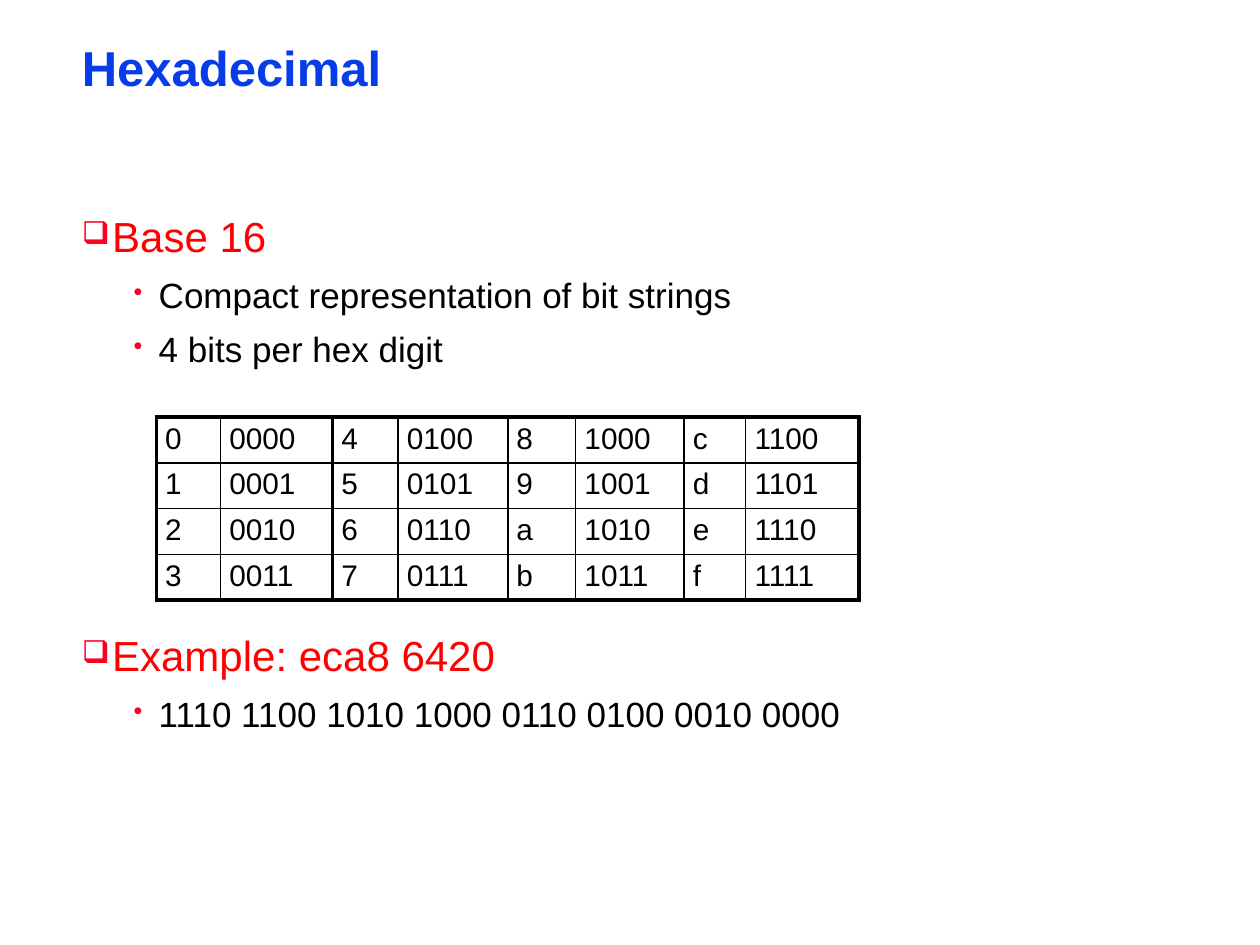
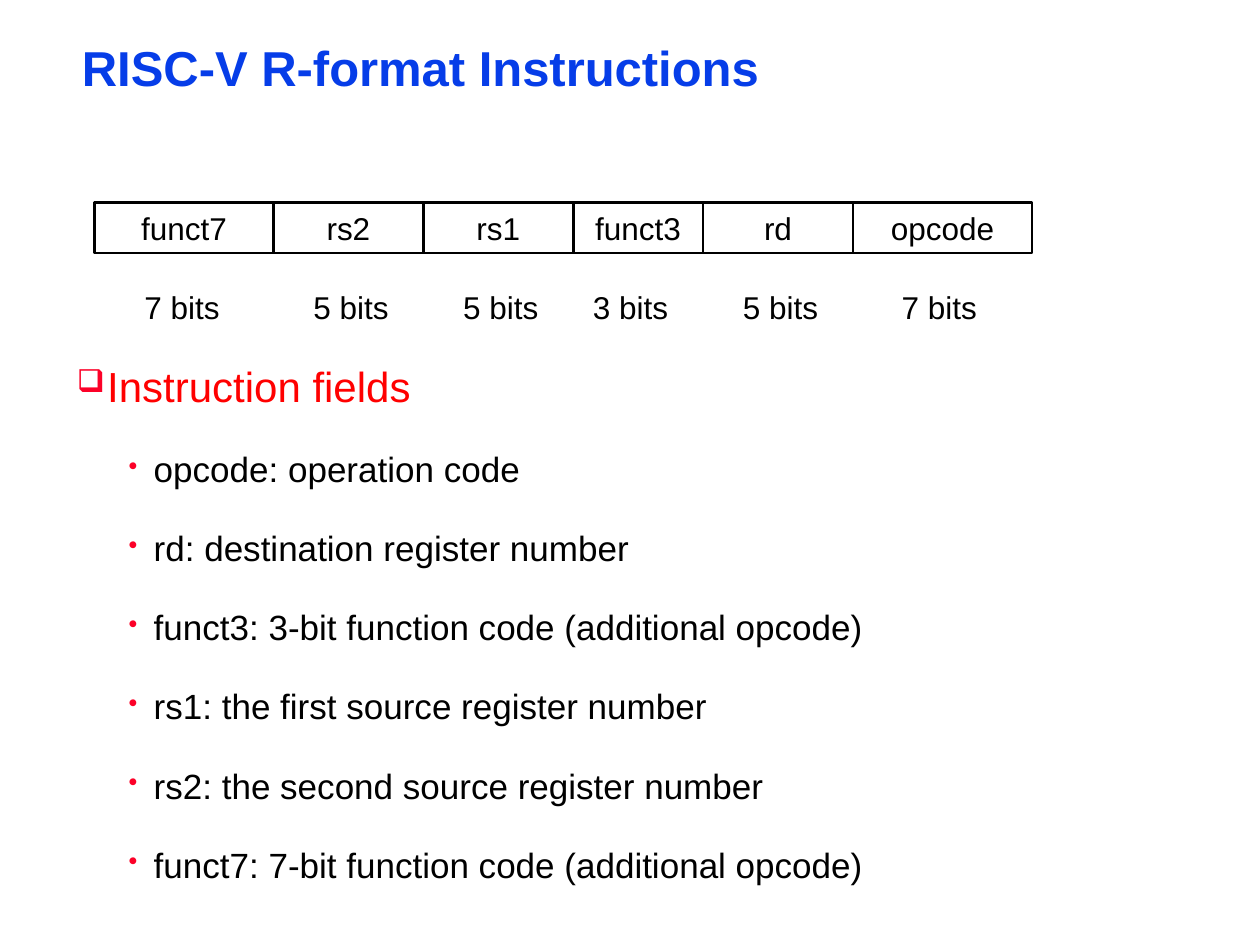
from pptx import Presentation
from pptx.dml.color import RGBColor
from pptx.enum.shapes import MSO_SHAPE
from pptx.enum.text import MSO_ANCHOR, MSO_AUTO_SIZE, PP_ALIGN
from pptx.oxml import parse_xml
from pptx.oxml.ns import nsdecls
from pptx.util import Inches, Pt

LEFT, CENTER = PP_ALIGN.LEFT, PP_ALIGN.CENTER
TOP, MIDDLE = MSO_ANCHOR.TOP, MSO_ANCHOR.MIDDLE
GROW = MSO_AUTO_SIZE.SHAPE_TO_FIT_TEXT
RECTANGLE = MSO_SHAPE.RECTANGLE

THEME = {
    "font": "Arial",
    "title": {"size": 28, "color": "063DE8", "bold": True},
    "heading": {"size": 24, "color": "FF0000", "bold": False},
    "item": {"size": 20, "color": "000000", "bold": False},
    "field": {"size": 18, "color": "000000", "bold": False},
    "cell": {"size": 17, "color": "000000", "bold": False},
    "line": "000000",
    "bullet": "FC0128",
}
FRAME = {
    "margin_left": Inches(0.07), "margin_right": Inches(0.07),
    "margin_top": Inches(0.03), "margin_bottom": Inches(0.03),
    "vertical_anchor": TOP, "word_wrap": True, "auto_size": GROW,
}
# Outline levels: bullet character, left margin and hanging indent, space before
LEVELS = {
    "heading": {"level": 0, "bullet": "\u2751", "margin": 0.24, "hang": 0.24, "before": 17.9},
    "item": {"level": 1, "bullet": "\u2022", "margin": 0.61, "hang": 0.2, "before": 9.2},
}
TABLE_GAP = 134  # extra points above the heading that follows the table

SLIDES = [
    {
        "title": "Hexadecimal", "left": 0.58, "top": 1.69, "height": 4.8, "spacing": 0.9,
        "outline": [
            ("heading", "Base 16", 0),
            ("item", "Compact representation of bit strings", 0),
            ("item", "4 bits per hex digit", 0),
            ("heading", "Example: eca8 6420", TABLE_GAP),
            ("item", "1110 1100 1010 1000 0110 0100 0010 0000", 0),
        ],
    },
    {
        "title": "RISC-V R-format Instructions", "left": 0.54, "top": 2.63, "height": 4.44,
        "spacing": 1.5,
        "outline": [
            ("heading", "Instruction fields", 0),
            ("item", "opcode: operation code", 0),
            ("item", "rd: destination register number", 0),
            ("item", "funct3: 3-bit function code (additional opcode)", 0),
            ("item", "rs1: the first source register number", 0),
            ("item", "rs2: the second source register number", 0),
            ("item", "funct7: 7-bit function code (additional opcode)", 0),
        ],
    },
]


def write(paragraph, text, style, alignment=LEFT):
    """Put text in a paragraph in one of the theme's type styles."""
    paragraph.alignment = alignment
    run = paragraph.add_run()
    run.text = text
    run.font.name = THEME["font"]
    run.font.size = Pt(THEME[style]["size"])
    run.font.bold = THEME[style]["bold"]
    run.font.color.rgb = RGBColor.from_string(THEME[style]["color"])


def set_format(target, values):
    """Set each named attribute of the target."""
    for name, value in values.items():
        setattr(target, name, value)


presentation = Presentation()
presentation.slide_width = Inches(10)
presentation.slide_height = Inches(7.5)

# Titles and outlines
slides = []
for content in SLIDES:
    slide = presentation.slides.add_slide(presentation.slide_layouts[5])
    slides.append(slide)
    title = slide.shapes.title
    set_format(title, {"left": Inches(0.58), "top": Inches(0.33),
                       "width": Inches(8.92), "height": Inches(0.47)})
    set_format(title.text_frame, FRAME)
    title.text_frame.paragraphs[0].line_spacing = 0.87
    write(title.text_frame.paragraphs[0], content["title"], "title")

    body = slide.shapes.add_textbox(Inches(content["left"]), Inches(content["top"]),
                                    Inches(8.92), Inches(content["height"]))
    set_format(body.text_frame, FRAME)
    for index, (style, text, gap) in enumerate(content["outline"]):
        level = LEVELS[style]
        paragraph = body.text_frame.add_paragraph() if index else body.text_frame.paragraphs[0]
        set_format(paragraph, {"level": level["level"], "line_spacing": content["spacing"],
                               "space_before": Pt(level["before"] + gap)})
        write(paragraph, text, style)
        properties = paragraph._p.get_or_add_pPr()
        properties.set("marL", str(Inches(level["margin"])))
        properties.set("indent", str(-Inches(level["hang"])))
        for bullet_xml in (
            f'<a:buClr {nsdecls("a")}><a:srgbClr val="{THEME["bullet"]}"/></a:buClr>',
            f'<a:buSzPct {nsdecls("a")} val="75000"/>',
            f'<a:buChar {nsdecls("a")} char="{level["bullet"]}"/>',
        ):
            properties.append(parse_xml(bullet_xml))

hexadecimal_slide, format_slide = slides

# Hex digits run down each pair of columns, digit beside its bits
COLUMN_WIDTHS = [0.51, 0.89, 0.52, 0.87, 0.54, 0.86, 0.49, 0.9]
ROWS, COLUMNS, ROW_HEIGHT = 4, len(COLUMN_WIDTHS), 0.36
OUTER, PAIR, INNER = 2.25, 1.5, 1
vertical_lines = [OUTER] + [INNER if edge % 2 else PAIR for edge in range(1, COLUMNS)] + [OUTER]
horizontal_lines = [OUTER] + [INNER] * (ROWS - 1) + [OUTER]

table = hexadecimal_slide.shapes.add_table(
    ROWS, COLUMNS, Inches(1.24), Inches(3.31),
    Inches(sum(COLUMN_WIDTHS)), Inches(ROWS * ROW_HEIGHT)).table
set_format(table, {"first_row": False, "horz_banding": False})
for column, width in zip(table.columns, COLUMN_WIDTHS):
    column.width = Inches(width)
for row in range(ROWS):
    table.rows[row].height = Inches(ROW_HEIGHT)
    for column in range(COLUMNS):
        digit = column // 2 * ROWS + row
        cell = table.cell(row, column)
        set_format(cell, {"margin_left": Inches(0.07), "margin_right": Inches(0.07),
                          "margin_top": Inches(0.04), "margin_bottom": Inches(0.04)})
        write(cell.text_frame.paragraphs[0], f"{digit:04b}" if column % 2 else f"{digit:x}", "cell")
        borders = {"lnL": vertical_lines[column], "lnR": vertical_lines[column + 1],
                   "lnT": horizontal_lines[row], "lnB": horizontal_lines[row + 1]}
        for tag, width in borders.items():
            cell._tc.get_or_add_tcPr().append(parse_xml(
                f'<a:{tag} {nsdecls("a")} w="{Pt(width)}"><a:solidFill>'
                f'<a:srgbClr val="{THEME["line"]}"/></a:solidFill></a:{tag}>'))
        cell.fill.background()

# Instruction fields: name, bits, box width, left edge of the bits label
FIELDS = [
    ("funct7", 7, 1.42, 1.04),
    ("rs2", 5, 1.19, 2.38),
    ("rs1", 5, 1.19, 3.57),
    ("funct3", 3, 1.03, 4.6),
    ("rd", 5, 1.19, 5.79),
    ("opcode", 7, 1.42, 7.05),
]
group = format_slide.shapes.add_group_shape()
left = 0.75
for name, bits, width, label_left in FIELDS:
    box = group.shapes.add_shape(RECTANGLE, Inches(left), Inches(1.61), Inches(width), Inches(0.4))
    box.shadow.inherit = False
    box.fill.background()
    box.line.color.rgb = RGBColor.from_string(THEME["line"])
    box.line.width = Pt(1.5)
    set_format(box.text_frame, {"vertical_anchor": MIDDLE, "word_wrap": True, "auto_size": GROW})
    write(box.text_frame.paragraphs[0], name, "field", CENTER)

    label = group.shapes.add_textbox(Inches(label_left), Inches(2.24), Inches(0.81), Inches(0.4))
    set_format(label.text_frame, {"word_wrap": False, "auto_size": GROW})
    write(label.text_frame.paragraphs[0], f"{bits} bits", "field", CENTER)
    left += width

presentation.save("out.pptx")
